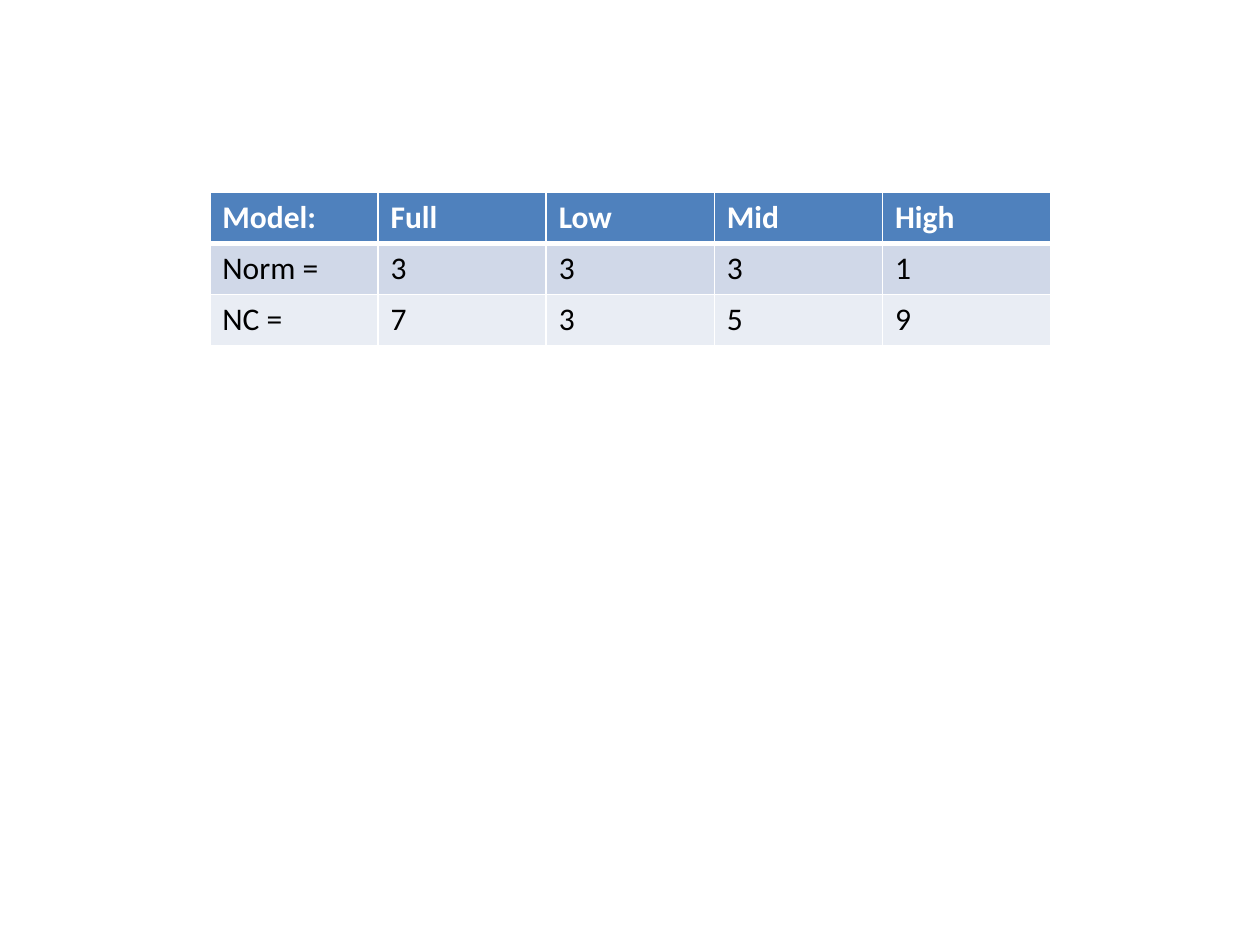
import pptx
import pptx.dml.color
import pptx.oxml
import pptx.oxml.ns
import pptx.util
from pptx.util import Cm

HEADER_FILL = "4F81BD"
BAND_FILLS = ["D0D8E8", "E9EDF4"]
WHITE = "FFFFFF"
BLACK = "000000"

ROWS = [
    ["Model:", "Full", "Low", "Mid", "High"],
    ["Norm =", "3", "3", "3", "1"],
    ["NC =", "7", "3", "5", "9"],
]


def color(value):
    return pptx.dml.color.RGBColor.from_string(value)


def write_text(frame, text, font="Calibri", size=18, fill=BLACK, bold=False):
    span = frame.paragraphs[0].add_run()
    span.text = text
    span.font.name = font
    span.font.size = pptx.util.Pt(size)
    span.font.bold = bold
    span.font.color.rgb = color(fill)


class SlideBuilder:
    """Holds the table style and the current page."""

    border = WHITE
    thin, thick = 1, 3

    def __init__(self, page):
        self.page = page

    def add_borders(self, cell, **widths):
        properties = cell._tc.get_or_add_tcPr()
        for side in ("L", "R", "T", "B"):
            width = pptx.util.Pt(widths.get(side, self.thin))
            properties.append(pptx.oxml.parse_xml(
                f'<a:ln{side} {pptx.oxml.ns.nsdecls("a")} w="{width}">'
                f'<a:solidFill><a:srgbClr val="{self.border}"/></a:solidFill>'
                f'</a:ln{side}>'))

    def add_table(self, rows, left, top, column_width, row_height):
        count = len(rows[0])
        table = self.page.shapes.add_table(
            len(rows), count, left, top,
            column_width * count, row_height * len(rows)).table
        for column in table.columns:
            column.width = column_width
        for index, values in enumerate(rows):
            table.rows[index].height = row_height
            header = index == 0
            fill = HEADER_FILL if header else BAND_FILLS[(index - 1) % 2]
            # A thick rule divides the header from the body
            widths = {0: {"B": self.thick}, 1: {"T": self.thick}}.get(index, {})
            for position, text in enumerate(values):
                cell = table.cell(index, position)
                self.add_borders(cell, **widths)
                cell.fill.solid()
                cell.fill.fore_color.rgb = color(fill)
                write_text(cell.text_frame, text, bold=header,
                           fill=WHITE if header else BLACK)


def main():
    # Deck and blank page
    deck = pptx.Presentation()
    deck.slide_width, deck.slide_height = Cm(25.4), Cm(19.05)
    builder = SlideBuilder(deck.slides.add_slide(deck.slide_layouts[6]))

    # Model comparison table
    builder.add_table(ROWS, Cm(4.23), Cm(3.88), Cm(3.39), Cm(1.03))

    deck.save("out.pptx")


if __name__ == "__main__":
    main()
